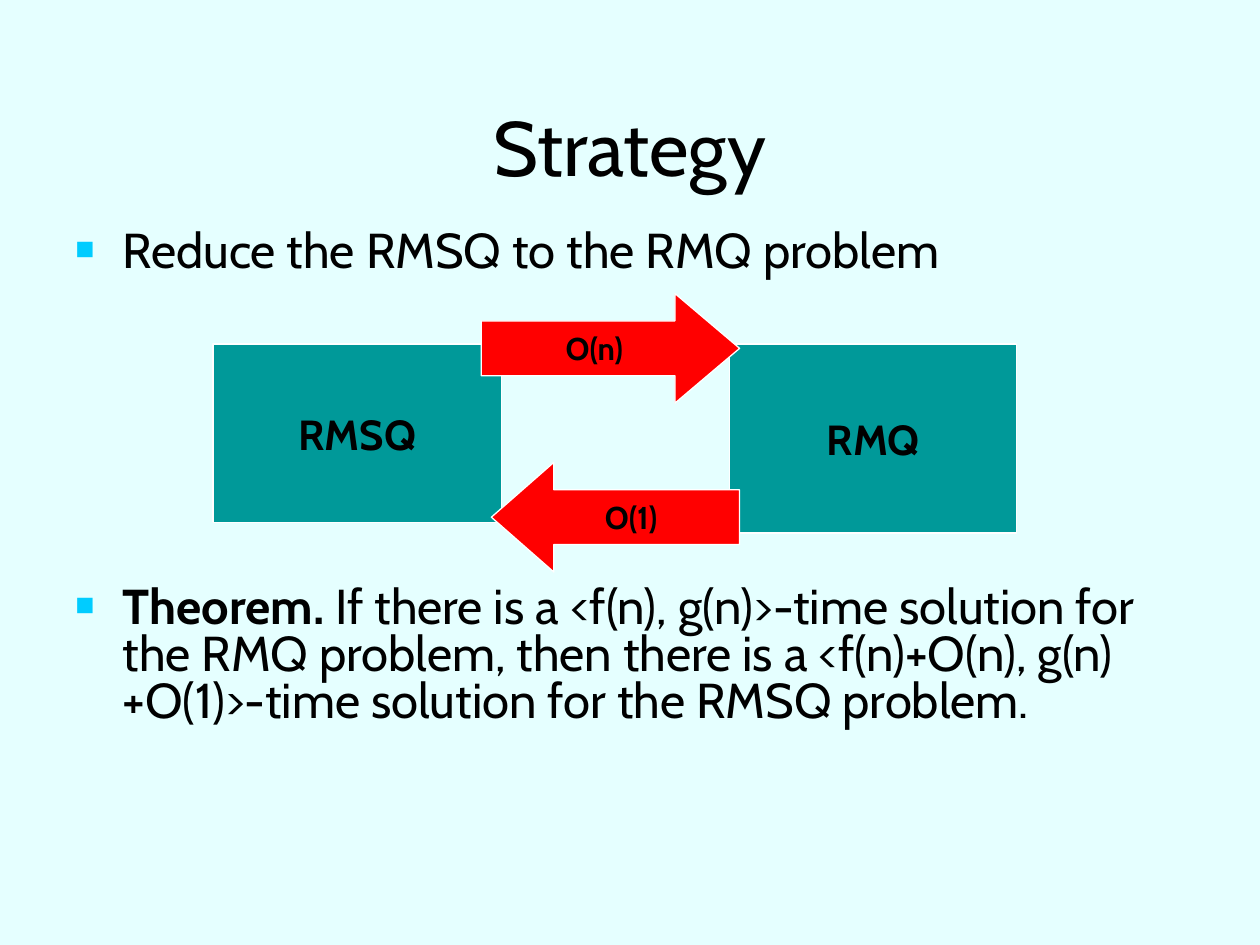
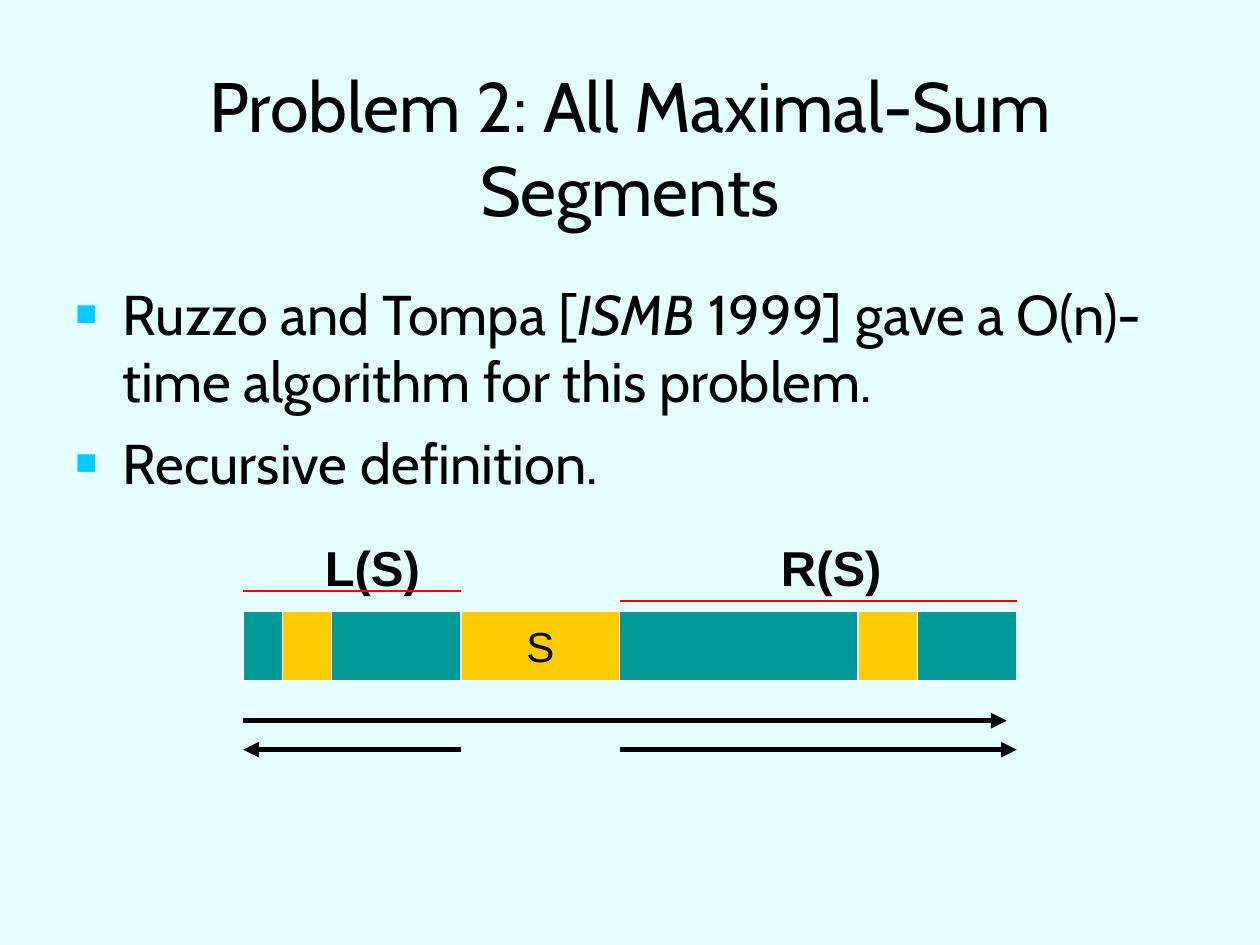
import pptx
import pptx.util
import pptx.dml.color
import pptx.enum.shapes
import pptx.enum.text
import pptx.oxml.ns
from lxml import etree

Inches, Pt = pptx.util.Inches, pptx.util.Pt
SHAPE = pptx.enum.shapes.MSO_SHAPE
ALIGN = pptx.enum.text.PP_ALIGN
MIDDLE = pptx.enum.text.MSO_ANCHOR.MIDDLE
qn = pptx.oxml.ns.qn

# Shared look
BACKGROUND, INK, WHITE = "E5FFFF", "000000", "FFFFFF"
TEAL, GOLD, RED, BULLET = "009999", "FFCC00", "FF0000", "00CCFF"
HEAD_FONT, PLAIN_FONT = "Cabin", "Arial"
BULLET_INDENT = Pt(27)


def rgb(value):
    return pptx.dml.color.RGBColor.from_string(value)


def style(p, size, font=HEAD_FONT, bold=False, align=ALIGN.LEFT):
    p.alignment = align
    for r in p.runs:
        r.font.size, r.font.name, r.font.bold = Pt(size), font, bold
        r.font.color.rgb = rgb(INK)


def add_text(s, text, x, y, w, h, size, **look):
    tf = s.shapes.add_textbox(Inches(x), Inches(y), Inches(w), Inches(h)).text_frame
    tf.word_wrap = True
    tf.text = text
    style(tf.paragraphs[0], size, **look)
    return tf


def add_bullet(p):
    pPr = p._p.get_or_add_pPr()
    pPr.set("marL", str(BULLET_INDENT))
    pPr.set("indent", str(-BULLET_INDENT))
    color = etree.SubElement(pPr, qn("a:buClr"))
    etree.SubElement(color, qn("a:srgbClr"), val=BULLET)
    etree.SubElement(pPr, qn("a:buSzPct"), val="65000")
    etree.SubElement(pPr, qn("a:buFont"), typeface=PLAIN_FONT)
    etree.SubElement(pPr, qn("a:buChar"), char="■")


def add_bullets(s, y, h, size, items, gap, line_spacing=None):
    """Each item is a list of (text, emphasis), emphasis being "", "b" or "i"."""
    tf = s.shapes.add_textbox(Inches(0.5), Inches(y), Inches(9), Inches(h)).text_frame
    tf.word_wrap = True
    for i, parts in enumerate(items):
        p = tf.add_paragraph() if i else tf.paragraphs[0]
        add_bullet(p)
        for text, _ in parts:
            p.add_run().text = text
        style(p, size)
        for r, (_, emphasis) in zip(p.runs, parts):
            r.font.bold, r.font.italic = emphasis == "b", emphasis == "i"
        p.line_spacing = line_spacing
        if i:
            p.space_before = Pt(gap)


def add_block(s, kind, x, y, w, h, fill, text="", size=24, **look):
    sp = s.shapes.add_shape(kind, Inches(x), Inches(y), Inches(w), Inches(h))
    sp.shadow.inherit = False
    sp.fill.solid()
    sp.fill.fore_color.rgb = rgb(fill)
    sp.line.color.rgb = rgb(WHITE)
    sp.line.width = Pt(0.75)
    if text:
        tf = sp.text_frame
        tf.word_wrap = False
        tf.vertical_anchor = MIDDLE
        tf.text = text
        style(tf.paragraphs[0], size, align=ALIGN.CENTER, **look)
    return sp


def add_line(s, x1, x2, y, color=INK, width=3, arrow=True):
    line = s.shapes.add_connector(pptx.enum.shapes.MSO_CONNECTOR.STRAIGHT,
                                  Inches(x1), Inches(y), Inches(x2), Inches(y))
    line.line.color.rgb = rgb(color)
    line.line.width = Pt(width)
    if arrow:
        etree.SubElement(line.line._get_or_add_ln(), qn("a:tailEnd"), type="triangle")
    etree.SubElement(line._element.spPr, qn("a:effectLst"))


def new_slide(prs, title, title_size):
    s = prs.slides.add_slide(prs.slide_layouts[6])
    s.background.fill.solid()
    s.background.fill.fore_color.rgb = rgb(BACKGROUND)
    tf = add_text(s, title, 0.5, 0.41, 9, 1.5, title_size, align=ALIGN.CENTER)
    tf.vertical_anchor = MIDDLE
    return s


def strategy_slide(prs):
    s = new_slide(prs, "Strategy", 44)
    # The wide gap leaves room for the reduction diagram
    add_bullets(s, 1.78, 4.73, 28, [
        [("Reduce the RMSQ to the RMQ problem", "")],
        [("Theorem.", "b"),
         (" If there is a <f(n), g(n)>-time solution for the RMQ problem, then there is "
          "a <f(n)+O(n), g(n)+O(1)>-time solution for the RMSQ problem.", "")],
    ], gap=176.6, line_spacing=0.8)

    # Problems
    add_block(s, SHAPE.RECTANGLE, 1.69, 2.73, 2.29, 1.42, TEAL, "RMSQ", bold=True)
    add_block(s, SHAPE.RECTANGLE, 5.79, 2.73, 2.28, 1.5, TEAL, "RMQ", bold=True)

    # Reduction costs
    for kind, x, y, w, head, cost in (
            (SHAPE.RIGHT_ARROW, 3.82, 2.33, 2.05, 0.59, "O(n)"),
            (SHAPE.LEFT_ARROW, 3.9, 3.67, 1.97, 0.57, "O(1)")):
        arrow = add_block(s, kind, x, y, w, 0.87, RED, cost, 18, bold=True)
        arrow.adjustments[1] = head


def segments_slide(prs):
    s = new_slide(prs, "Problem 2: All Maximal-Sum Segments", 40)
    add_bullets(s, 2.17, 4.5, 32, [
        [("Ruzzo and Tompa [", ""), ("ISMB", "i"),
         (" 1999] gave a O(n)-time algorithm for this problem.", "")],
        [("Recursive definition.", "")],
    ], gap=8)

    # Sequence bar with its maximal segments
    left, s_start, s_end, right = 1.93, 3.66, 4.92, 8.07
    bar_y, bar_h = 4.85, 0.55
    for start, end, fill, label in ((left, right, TEAL, ""),
                                    (2.24, 2.63, GOLD, ""),
                                    (6.81, 7.28, GOLD, ""),
                                    (s_start, s_end, GOLD, "S")):
        add_block(s, SHAPE.RECTANGLE, start, bar_y, end - start, bar_h, fill, label,
                  font=PLAIN_FONT)

    # Left and right parts
    for label, label_x, start, end, y in (("L(S)", 2.48, left, s_start, 4.69),
                                          ("R(S)", 6.1, s_end, right, 4.77)):
        add_text(s, label, label_x, 4.22, 1.1, 0.57, 28, font=PLAIN_FONT, bold=True)
        add_line(s, start, end, y, RED, 0.75, arrow=False)

    # Scan directions
    add_line(s, left, 7.99, 5.72)
    add_line(s, s_start, left, 5.95)
    add_line(s, s_end, right, 5.95)


def main():
    prs = pptx.Presentation()
    prs.slide_width, prs.slide_height = Inches(10), Inches(7.5)
    strategy_slide(prs)
    segments_slide(prs)
    prs.save("out.pptx")


if __name__ == "__main__":
    main()
